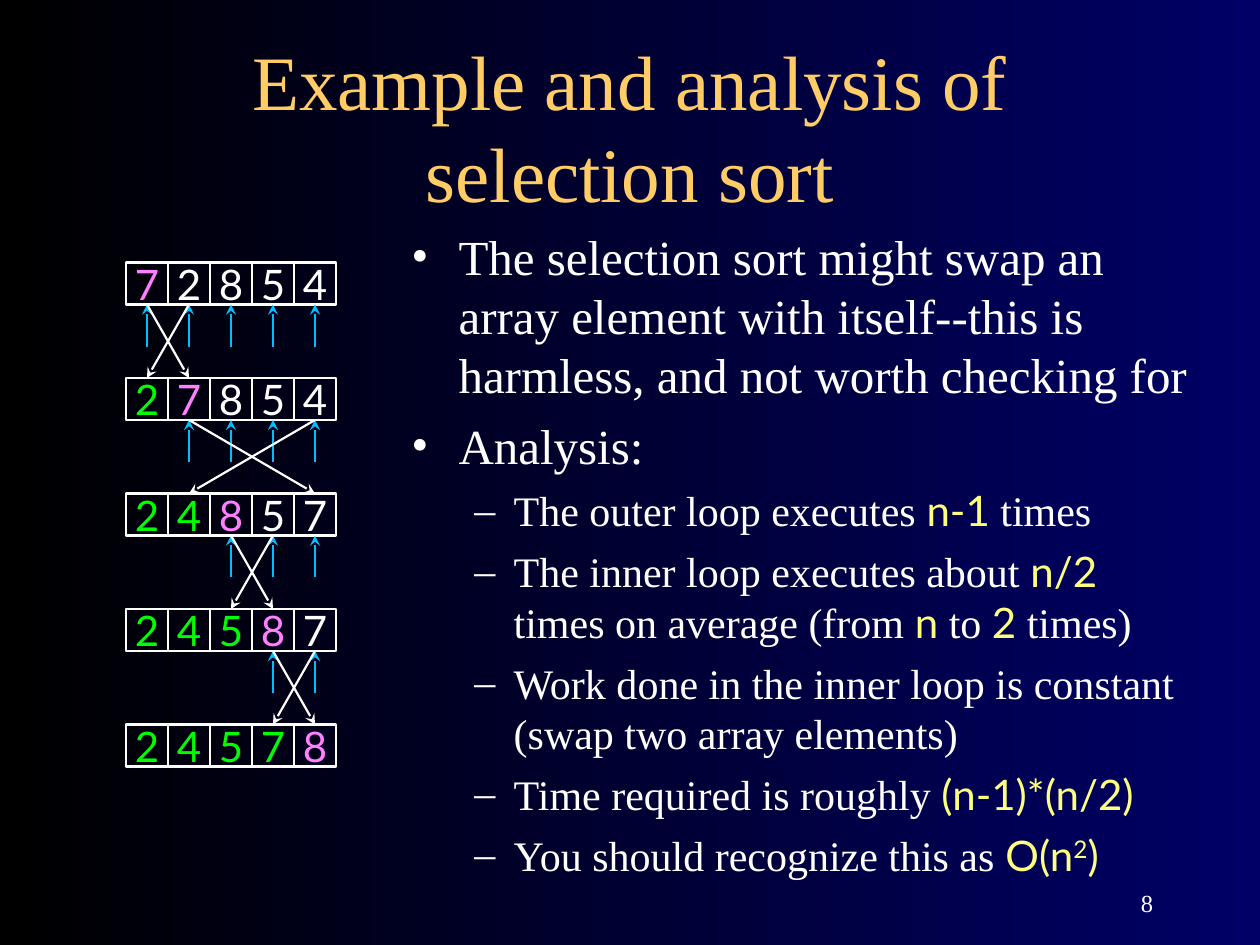
from lxml.etree import SubElement
from pptx import Presentation
from pptx.dml.color import RGBColor
from pptx.enum.shapes import MSO_CONNECTOR as CONN, MSO_SHAPE as SHAPE
from pptx.enum.text import MSO_ANCHOR as ANCHOR, MSO_AUTO_SIZE as AUTO, PP_ALIGN as ALIGN
from pptx.oxml.ns import qn
from pptx.util import Pt

PX = 9525
SERIF, SANS = "Times New Roman", "Lato"
BLACK = RGBColor(0x00, 0x00, 0x00)
NAVY = RGBColor(0x00, 0x00, 0x66)
WHITE = RGBColor(0xFF, 0xFF, 0xFF)
GOLD = RGBColor(0xFF, 0xCC, 0x66)
YELLOW = RGBColor(0xFF, 0xFF, 0x7F)
PINK = RGBColor(0xFF, 0x7F, 0xFF)
GREEN = RGBColor(0x00, 0xFD, 0x00)
BLUE = RGBColor(0x00, 0xBF, 0xFF)

TITLE = "Example and analysis of selection sort"
PAGE = "8"
PLAIN = {"font": SERIF, "color": WHITE}
CODE = {"font": SANS, "color": YELLOW}
SUPER = {**CODE, "baseline": 30000}
BULLETS = [
    (0, [("The selection sort might swap an array element with itself--this is "
          "harmless, and not worth checking for", PLAIN)]),
    (0, [("Analysis:", PLAIN)]),
    (1, [("The outer loop executes ", PLAIN), ("n-1", CODE), (" times", PLAIN)]),
    (1, [("The inner loop executes about ", PLAIN), ("n/2", CODE),
         (" times on average (from ", PLAIN), ("n", CODE), (" to ", PLAIN),
         ("2", CODE), (" times)", PLAIN)]),
    (1, [("Work done in the inner loop is constant (swap two array elements)", PLAIN)]),
    (1, [("Time required is roughly ", PLAIN), ("(n-1)*(n/2)", CODE)]),
    (1, [("You should recognize this as", PLAIN), (" O(n", CODE), ("2", SUPER), (")", CODE)]),
]
LEVELS = [
    {"char": "•", "margin": 36, "hang": 36, "size": 28, "before": 7},
    {"char": "–", "margin": 78, "hang": 30, "size": 24, "before": 6},
]
ARRAYS = ["72854", "27854", "24857", "24587", "24578"]
SWAPS = [(0, 1), (1, 4), (2, 3), (3, 4)]
LEFT, TOP, CELL, ROW_STEP = 96, 200, 32, 88


def add_text(p, text, size=24, font=SERIF, color=WHITE, align=None, baseline=None):
    r = p.add_run()
    r.text = text
    r.font.size, r.font.name = Pt(size), font
    r.font.color.rgb = color
    if align is not None:
        p.alignment = align
    if baseline:
        r._r.get_or_add_rPr().set("baseline", str(baseline))


def place(sp, x, y, w, h):
    sp.left, sp.top, sp.width, sp.height = (v * PX for v in (x, y, w, h))


def add_box(s, x, y, w, h, anchor):
    sp = s.shapes.add_textbox(x * PX, y * PX, w * PX, h * PX)
    tf = sp.text_frame
    tf.word_wrap, tf.vertical_anchor = True, anchor
    return tf


def add_bullet(p, char, margin, hang):
    pPr = p._p.get_or_add_pPr()
    pPr.set("marL", str(margin * PX))
    pPr.set("indent", str(-hang * PX))
    clr = SubElement(pPr, qn("a:buClr"))
    SubElement(clr, qn("a:srgbClr"), val=str(WHITE))
    SubElement(pPr, qn("a:buFont"), typeface=SERIF)
    SubElement(pPr, qn("a:buChar"), char=char)


def add_cell(s, x, y, digit, color):
    sp = s.shapes.add_shape(SHAPE.FLOWCHART_PROCESS, x * PX, y * PX, CELL * PX, CELL * PX)
    sp.shadow.inherit = False
    sp.fill.background()
    sp.line.color.rgb, sp.line.width = WHITE, Pt(1.5)
    tf = sp.text_frame
    tf.word_wrap, tf.vertical_anchor = False, ANCHOR.MIDDLE
    add_text(tf.paragraphs[0], digit, font=SANS, color=color, align=ALIGN.CENTER)
    return sp


def add_arrow(s, x, y, color, end, end_site, start=None):
    c = s.shapes.add_connector(CONN.STRAIGHT, x * PX, y * PX, x * PX, y * PX)
    if start is not None:
        c.begin_connect(start, 2)
    c.end_connect(end, end_site)
    c.line.color.rgb, c.line.width = color, Pt(1.25)
    SubElement(c.line._get_or_add_ln(), qn("a:tailEnd"), type="stealth")
    SubElement(c._element.spPr, qn("a:effectLst"))


def digit_color(row, col):
    if col < row:
        return GREEN
    return PINK if col == row else WHITE


def main():
    prs = Presentation()
    prs.slide_width, prs.slide_height = 960 * PX, 720 * PX
    s = prs.slides.add_slide(prs.slide_layouts[5])
    fill = s.background.fill
    fill.gradient()
    fill.gradient_angle = 0
    for stop, color, position in zip(fill.gradient_stops, (BLACK, NAVY), (0, 1)):
        stop.color.rgb, stop.position = color, position

    place(s.shapes.title, 72, 56, 816, 80)
    tf = s.shapes.title.text_frame
    tf.auto_size, tf.vertical_anchor = AUTO.NONE, ANCHOR.MIDDLE
    add_text(tf.paragraphs[0], TITLE, size=44, color=GOLD, align=ALIGN.CENTER)

    tf = add_box(s, 304, 168, 616, 512, ANCHOR.TOP)
    for i, (level, parts) in enumerate(BULLETS):
        p = tf.add_paragraph() if i else tf.paragraphs[0]
        style = LEVELS[level]
        p.level = level
        if i:
            p.space_before = Pt(style["before"])
        add_bullet(p, style["char"], style["margin"], style["hang"])
        for text, look in parts:
            add_text(p, text, size=style["size"], **look)

    rows = [[add_cell(s, LEFT + col * CELL, TOP + row * ROW_STEP, digit, digit_color(row, col))
             for col, digit in enumerate(digits)]
            for row, digits in enumerate(ARRAYS)]
    for row, (a, b) in enumerate(SWAPS):
        for col in range(row, len(rows[row])):
            x = LEFT + col * CELL + CELL // 2
            add_arrow(s, x, TOP + row * ROW_STEP + 2 * CELL, BLUE, rows[row][col], 2)
        for src, dst in ((a, b), (b, a)):
            add_arrow(s, 0, 0, WHITE, rows[row + 1][dst], 0, start=rows[row][src])

    tf = add_box(s, 688, 656, 200, 48, ANCHOR.BOTTOM)
    add_text(tf.paragraphs[0], PAGE, size=14, align=ALIGN.RIGHT)
    prs.save("out.pptx")


if __name__ == "__main__":
    main()
